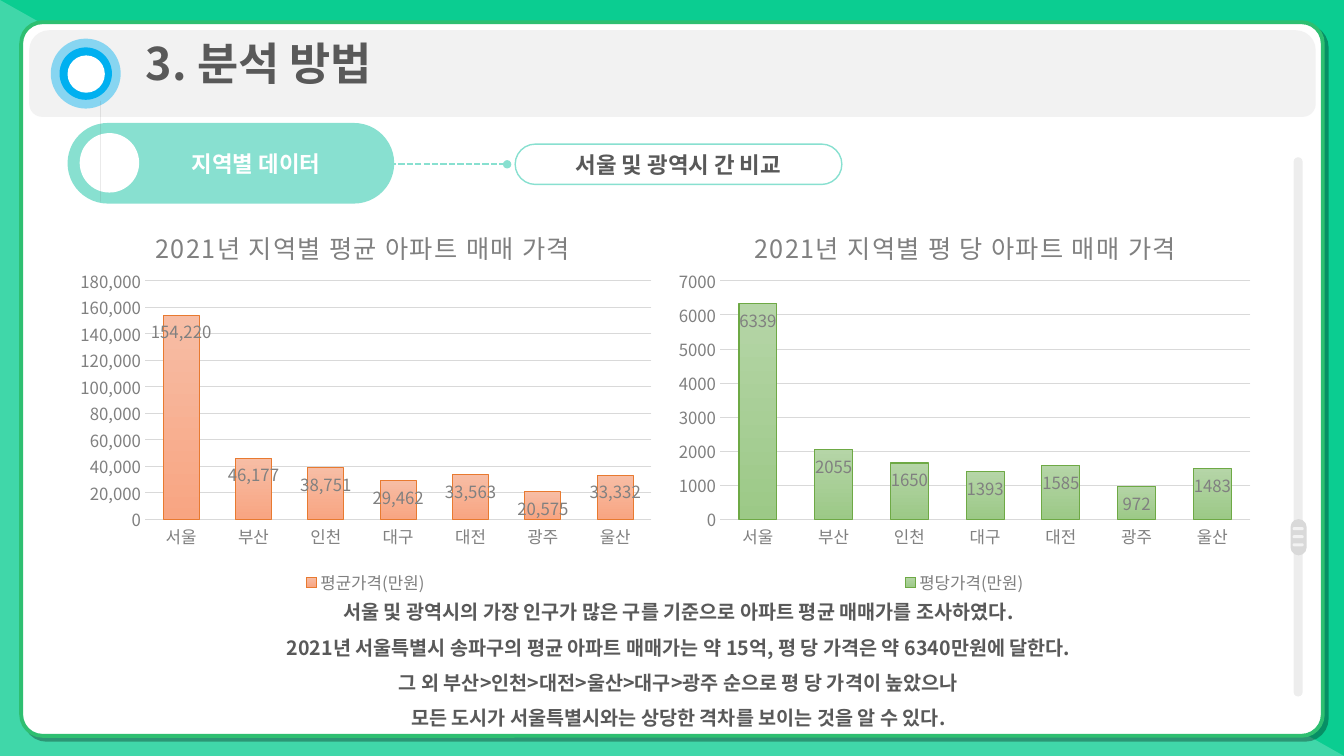
from math import cos, pi, sin

from lxml.etree import SubElement
from pptx import Presentation
from pptx.chart.data import CategoryChartData
from pptx.dml.color import RGBColor
from pptx.enum.chart import XL_CHART_TYPE as Chart, XL_LABEL_POSITION as Pos
from pptx.enum.chart import XL_LEGEND_POSITION as Side, XL_TICK_MARK as Tick
from pptx.enum.dml import MSO_LINE as Dash
from pptx.enum.shapes import MSO_CONNECTOR as Wire, MSO_SHAPE as Kind
from pptx.enum.text import MSO_ANCHOR as Anchor, PP_ALIGN as Align
from pptx.oxml.ns import qn
from pptx.util import Inches, Pt

FONT = "Noto Sans CJK KR"
WHITE = RGBColor(0xFF, 0xFF, 0xFF)
BLACK = RGBColor(0, 0, 0)
GREEN = RGBColor(0x0B, 0xCD, 0x91)
EDGE = RGBColor(0x2E, 0xBF, 0x71)
MINT = RGBColor(0x88, 0xE0, 0xD0)
BLUE = RGBColor(0x00, 0xB0, 0xF0)
PALE = RGBColor(0xF2, 0xF2, 0xF2)
LIGHT = RGBColor(0xD9, 0xD9, 0xD9)
GRAY = RGBColor(0x80, 0x80, 0x80)
DARK = RGBColor(0x59, 0x59, 0x59)
PEACH = RGBColor(0xF7, 0xBD, 0xA5)
CORAL = RGBColor(0xF8, 0xA5, 0x82)
RUST = RGBColor(0xE8, 0x7A, 0x30)
SAGE = RGBColor(0xB5, 0xD5, 0xA7)
LEAF = RGBColor(0x9C, 0xC9, 0x87)
MOSS = RGBColor(0x6E, 0xA9, 0x45)


def style(font, size, color, bold=False):
    """Set the format of a font, for Latin and Korean letters alike."""
    font.size, font.bold, font.name = Pt(size), bold, FONT
    font.color.rgb = color
    face = SubElement(font._rPr, qn("a:ea"), typeface=FONT)
    font._rPr.find(qn("a:latin")).addnext(face)


def write(frame, text, size=16, color=DARK, bold=True, align=Align.CENTER,
          anchor=Anchor.MIDDLE, level=0, space=None):
    frame.word_wrap = True
    frame.vertical_anchor = anchor
    for i, line in enumerate(text.split("\n")):
        para = frame.add_paragraph() if i else frame.paragraphs[0]
        para.alignment, para.level = align, level
        para.line_spacing = space
        run = para.add_run()
        run.text = line
        style(run.font, size, color, bold)


prs = Presentation()
prs.slide_width, prs.slide_height = Inches(13.33), Inches(7.5)
slide = prs.slides.add_slide(prs.slide_layouts[6])
slide.background.fill.solid()
slide.background.fill.fore_color.rgb = GREEN

# name, kind, box, fill, opacity %, line, corner adjustments
parts = [
    ("gleam", Kind.RIGHT_TRIANGLE, (0, 0, 13.33, 7.5), WHITE, 22, None, []),
    ("card", Kind.ROUNDED_RECTANGLE, (0.21, 0.22, 12.91, 7.08), WHITE, 100,
     (EDGE, 2.75), [0.03]),
    ("track", Kind.ROUNDED_RECTANGLE, (12.83, 1.56, 0.09, 5.35), BLACK, 7,
     None, [0.5]),
    ("thumb", Kind.ROUNDED_RECTANGLE, (12.8, 5.15, 0.16, 0.36), LIGHT, 100,
     None, [0.5]),
]
for i in range(3):
    parts.append(("ridge", Kind.ROUNDED_RECTANGLE,
                  (12.82, 5.23 + 0.08 * i, 0.11, 0.03), PALE, 100, None, [0.5]))
parts += [
    ("header", Kind.ROUND_2_SAME_RECTANGLE, (0.29, 0.3, 12.76, 0.86), PALE,
     100, None, [0.23, 0.15]),
    ("ring", Kind.OVAL, (0.59, 0.47, 0.52, 0.52), BLUE, 100, (BLUE, 12.5), []),
    ("core", Kind.OVAL, (0.67, 0.55, 0.37, 0.37), WHITE, 100, None, []),
    ("pill", Kind.ROUNDED_RECTANGLE, (0.67, 1.22, 3.24, 0.8), MINT, 100,
     None, [0.5]),
    ("disc", Kind.OVAL, (0.79, 1.32, 0.59, 0.59), WHITE, 100, None, []),
    ("label", Kind.ROUNDED_RECTANGLE, (5.11, 1.43, 3.24, 0.4), WHITE, 100,
     (MINT, 1), [0.5]),
]
shapes = {}
for name, kind, box, fill, solid, line, bends in parts:
    shape = slide.shapes.add_shape(kind, *map(Inches, box))
    shape.shadow.inherit = False
    for i, bend in enumerate(bends):
        shape.adjustments[i] = bend
    shape.fill.solid()
    shape.fill.fore_color.rgb = fill
    if solid < 100:
        tint = shape._element.spPr.find(".//" + qn("a:srgbClr"))
        SubElement(tint, qn("a:alpha"), val=str(solid * 1000))
    if line:
        shape.line.color.rgb, shape.line.width = line[0], Pt(line[1])
    else:
        shape.line.fill.background()
    shapes[name] = shape

halo = shapes["ring"]._element.spPr.find(qn("a:ln")).find(".//" + qn("a:srgbClr"))
SubElement(halo, qn("a:alpha"), val="44000")
glow = shapes["card"]._element.spPr.find(qn("a:effectLst"))
drop = SubElement(glow, qn("a:outerShdw"), blurRad="0", dist=str(Pt(4)),
                  dir="2700000", algn="tl", rotWithShape="0")
SubElement(SubElement(drop, qn("a:srgbClr"), val="000000"),
           qn("a:alpha"), val="30000")

head = shapes["header"].text_frame
head.margin_top, head.margin_bottom = 0, Inches(0.75)
write(head, "3. 분석 방법", size=32, align=Align.LEFT, anchor=Anchor.TOP, level=2)
write(shapes["pill"].text_frame, "지역별 데이터", color=WHITE, level=1)
write(shapes["label"].text_frame, "서울 및 광역시 간 비교")

link = slide.shapes.add_connector(
    Wire.STRAIGHT, Inches(3.7), Inches(1.63), Inches(5.03), Inches(1.63))
link.line.color.rgb, link.line.width = MINT, Pt(1.5)
link.line.dash_style = Dash.SQUARE_DOT
SubElement(link.line._get_or_add_ln(), qn("a:tailEnd"), type="oval")
SubElement(link._element.spPr, qn("a:effectLst"))

# Phone: rounded body with screen, speaker and button cut out
body = []
for i, (x, y) in enumerate([(1.13, 1.76), (0.98, 1.76), (0.98, 1.47), (1.13, 1.47)]):
    for step in range(4):
        turn = (i + step / 3) * pi / 2
        body.append((x + 0.02 * cos(turn), y + 0.02 * sin(turn)))
screen = [(0.97, 1.49), (0.97, 1.74), (1.14, 1.74), (1.14, 1.49)]
slot = [(1.03, 1.467), (1.03, 1.473), (1.08, 1.473), (1.08, 1.467)]
knob = [(1.055 + 0.01 * cos(k * pi / 6), 1.755 + 0.01 * sin(k * pi / 6))
        for k in range(12)]
pen = slide.shapes.build_freeform(*body[0], scale=Inches(1))
pen.add_line_segments(body[1:])
for hole in (screen, slot, knob):
    pen.move_to(*hole[0])
    pen.add_line_segments(hole[1:])
phone = pen.convert_to_shape()
phone.shadow.inherit = False
phone.fill.solid()
phone.fill.fore_color.rgb = DARK
phone.line.fill.background()

# left, title, series, values, format, top, foot, edge, axis top, step, plot x, plot width
plots = [
    (0.67, "2021년 지역별 평균 아파트 매매 가격", "평균가격(만원)",
     (154220, 46177, 38751, 29462, 33563, 20575, 33332), "#,##0",
     PEACH, CORAL, RUST, 180000, 20000, 0.13, 0.85),
    (6.61, "2021년 지역별 평 당 아파트 매매 가격", "평당가격(만원)",
     (6339, 2055, 1650, 1393, 1585, 972, 1483), "General",
     SAGE, LEAF, MOSS, 7000, 1000, 0.09, 0.89),
]
for left, title, name, vals, form, top, foot, edge, peak, step, start, wide in plots:
    data = CategoryChartData(number_format=form)
    data.categories = ["서울", "부산", "인천", "대구", "대전", "광주", "울산"]
    data.add_series(name, vals)
    chart = slide.shapes.add_chart(
        Chart.COLUMN_CLUSTERED, Inches(left), Inches(2), Inches(5.91),
        Inches(3.94), data).chart
    style(chart.font, 12, GRAY)
    write(chart.chart_title.text_frame, title, size=18, color=GRAY, bold=False)
    chart.chart_title.text_frame.paragraphs[0].runs[0].font._rPr.set("spc", "100")
    chart.has_legend = True
    chart.legend.position = Side.BOTTOM
    chart.legend.include_in_layout = False
    style(chart.legend.font, 12, GRAY)

    cat, val = chart.category_axis, chart.value_axis
    for axis in (cat, val):
        axis.major_tick_mark = axis.minor_tick_mark = Tick.NONE
        style(axis.tick_labels.font, 12, GRAY)
    val.minimum_scale, val.maximum_scale, val.major_unit = 0, peak, step
    val.tick_labels.number_format = form
    val.tick_labels.number_format_is_linked = False
    val.format.line.fill.background()
    for line in (cat.format.line, val.major_gridlines.format.line):
        line.color.rgb, line.width = LIGHT, Pt(0.75)

    plot = chart.plots[0]
    plot.gap_width, plot.overlap, plot.vary_by_categories = 100, -24, False
    bars = plot.series[0].format
    bars.fill.gradient()
    bars.fill.gradient_angle = 270
    for stop, color in zip(bars.fill.gradient_stops, (top, foot)):
        stop.color.rgb = color
    bars.line.color.rgb, bars.line.width = edge, Pt(0.75)
    plot.has_data_labels = True
    tags = plot.data_labels
    tags.show_value, tags.position = True, Pos.INSIDE_END
    tags.number_format, tags.number_format_is_linked = form, False
    style(tags.font, 12, GRAY)

    for tag, index, place in (
            ("c:title", 1, {"x": 0.14, "y": 0.05}),
            ("c:plotArea", 0, {"x": start, "y": 0.2, "w": wide, "h": 0.6})):
        area = chart._chartSpace.find(".//" + qn(tag))
        for old in area.findall(qn("c:layout")):
            area.remove(old)
        layout = SubElement(area, qn("c:layout"))
        area.insert(index, layout)
        manual = SubElement(layout, qn("c:manualLayout"))
        if "w" in place:
            SubElement(manual, qn("c:layoutTarget"), val="inner")
        for key in "xy":
            SubElement(manual, qn(f"c:{key}Mode"), val="edge")
        for key, size in place.items():
            SubElement(manual, qn(f"c:{key}"), val=str(size))

notes = slide.shapes.add_textbox(Inches(2.35), Inches(5.79), Inches(8.76), Inches(1.51))
write(notes.text_frame, """서울 및 광역시의 가장 인구가 많은 구를 기준으로 아파트 평균 매매가를 조사하였다.
2021년 서울특별시 송파구의 평균 아파트 매매가는 약 15억, 평 당 가격은 약 6340만원에 달한다.
그 외 부산>인천>대전>울산>대구>광주 순으로 평 당 가격이 높았으나
모든 도시가 서울특별시와는 상당한 격차를 보이는 것을 알 수 있다.""",
      size=14, anchor=Anchor.TOP, space=1.5)

prs.save("out.pptx")
